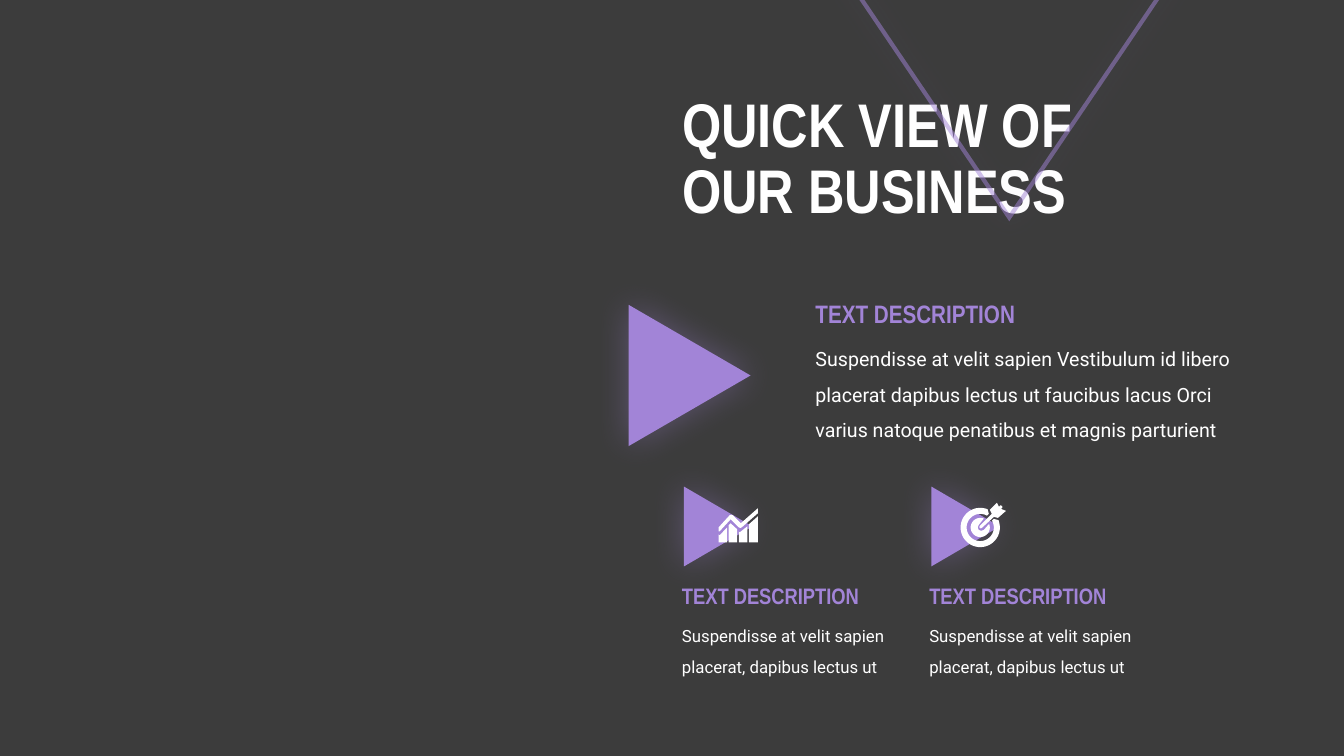
from math import cos, radians, sin

from lxml.etree import SubElement
from pptx import Presentation
from pptx.dml.color import RGBColor
from pptx.enum.shapes import MSO_SHAPE as SHAPE
from pptx.enum.text import MSO_ANCHOR as ANCHOR, MSO_AUTO_SIZE as AUTO, PP_ALIGN as ALIGN
from pptx.oxml.ns import qn
from pptx.util import Inches, Pt

COLORS = {"back": "3C3C3C", "accent": "A284D7", "text": "FFFFFF"}
HEAD_FONT, BODY_FONT = "Arial Narrow", "Roboto"
COLS, ROWS = 32, 18
ICON_UNIT = 0.024  # cells per icon unit

HEADING = "TEXT DESCRIPTION"
LONG_TEXT = ("Suspendisse at velit sapien Vestibulum id libero placerat dapibus "
             "lectus ut faucibus lacus Orci varius natoque penatibus et magnis parturient")
SHORT_TEXT = "Suspendisse at velit sapien placerat, dapibus lectus ut"


def arc(radius, start, end, steps=48):
    """Points on a circle around the icon's origin, angles in degrees."""
    angles = [radians(start + (end - start) * i / steps) for i in range(steps + 1)]
    return [(radius * cos(a), radius * sin(a)) for a in angles]


CHART_ICON = [
    [(0, 34), (0, 26), (1, 27), (8.5, 19), (8.5, 34)],
    [(10, 34), (10, 17), (12, 15), (18.5, 21), (18.5, 34)],
    [(20, 34), (20, 23), (21, 24), (28.5, 18), (28.5, 34)],
    [(30, 34), (30, 16), (39, 8), (39, 34)],
    [(39, 0), (22, 15), (14, 7), (12.5, 6.5), (11, 7), (0, 19), (0, 23), (1, 23),
     (12, 11), (20, 19), (21.5, 19.7), (23, 19), (39, 5)],
]
TARGET_ICON = [
    arc(19.5, -22, 292) + [(8.5, -13.5)] + arc(13.5, 300, -30) + [(13.5, -8.5)],
    [(21.5, -21.5), (20, -22), (18.5, -20.5), (16.5, -24.5), (9.5, -17.5),
     (11.5, -13.5), (-0.5, -1.5), (-0.9, -0.5), (-0.5, 0.5), (0.5, 0.9), (1.5, 0.5),
     (13.5, -10.5), (17.5, -9.5), (25.5, -16.5), (20.5, -18.5), (22, -20)],
    arc(9.5, -22, 292) + [(-1.5, -2.5), (-2.5, 0), (-1.5, 2.5), (1, 3.3), (3.5, 2.5)],
]


class Deck:
    def __init__(self):
        self.prs = Presentation()
        self.prs.slide_width, self.prs.slide_height = Inches(13.333), Inches(7.5)
        self.cell_w = self.prs.slide_width / COLS
        self.cell_h = self.prs.slide_height / ROWS
        self.slide = self.prs.slides.add_slide(self.prs.slide_layouts[0])
        self.paint(self.slide.background.fill, "back")

    def grid(self, x, y, w, h):
        return (round(x * self.cell_w), round(y * self.cell_h),
                round(w * self.cell_w), round(h * self.cell_h))

    def paint(self, fill, color):
        fill.solid()
        fill.fore_color.rgb = RGBColor.from_string(COLORS[color])

    def set_text(self, tf, text, size, font, color, bold=False, spacing=1.0):
        tf.word_wrap = True
        tf.text = text
        for p in tf.paragraphs:
            p.alignment = ALIGN.LEFT
            p.line_spacing = spacing
            for r in p.runs:
                r.font.size, r.font.name, r.font.bold = Pt(size), font, bold
                r.font.color.rgb = RGBColor.from_string(COLORS[color])

    def title(self, cells, text):
        sp = self.slide.shapes.title
        sp.left, sp.top, sp.width, sp.height = self.grid(*cells)
        tf = sp.text_frame
        tf.auto_size, tf.vertical_anchor = AUTO.NONE, ANCHOR.MIDDLE
        self.set_text(tf, text, 44, HEAD_FONT, "text", True, 0.9)
        subtitle = self.slide.placeholders[1].element
        subtitle.getparent().remove(subtitle)

    def text(self, cells, text, *style, **options):
        tf = self.slide.shapes.add_textbox(*self.grid(*cells)).text_frame
        self.set_text(tf, text, *style, **options)
        tf.auto_size = AUTO.SHAPE_TO_FIT_TEXT

    def heading(self, cells, size):
        self.text(cells, HEADING, size, HEAD_FONT, "accent", bold=True)

    def body(self, cells, text, size):
        self.text(cells, text, size, BODY_FONT, "text", spacing=1.5)

    def triangle(self, cells, rotation, outlined=False):
        sp = self.slide.shapes.add_shape(SHAPE.ISOSCELES_TRIANGLE, *self.grid(*cells))
        sp.rotation = rotation
        if outlined:
            sp.fill.background()
            self.paint(sp.line.fill, "accent")
            sp.line.width = Pt(3)
            ln = sp.element.spPr.find(qn("a:ln"))
            SubElement(ln.find(".//" + qn("a:srgbClr")), qn("a:alpha"), val="50000")
            SubElement(ln, qn("a:miter"), lim="800000")
        else:
            self.paint(sp.fill, "accent")
            sp.line.fill.background()
        self.glow(sp)

    def glow(self, sp):
        """Surround a shape with a soft, centred shadow."""
        sp.shadow.inherit = False
        effects = sp.element.spPr.find(qn("a:effectLst"))
        shadow = SubElement(effects, qn("a:outerShdw"), blurRad=str(Pt(25)), dist="0",
                            dir="0", algn="ctr", rotWithShape="0")
        clr = SubElement(shadow, qn("a:srgbClr"), val=COLORS["accent"])
        SubElement(clr, qn("a:alpha"), val="35000")

    def icon(self, x, y, outlines):
        group = self.slide.shapes.add_group_shape()
        unit_w, unit_h = ICON_UNIT * self.cell_w, ICON_UNIT * self.cell_h
        left, top = round(x * self.cell_w), round(y * self.cell_h)
        for outline in outlines:
            points = [(px * unit_w, py * unit_h) for px, py in outline]
            builder = group.shapes.build_freeform(*points[0])
            builder.add_line_segments(points[1:], close=True)
            sp = builder.convert_to_shape(left, top)
            self.paint(sp.fill, "text")
            sp.line.fill.background()
            sp.shadow.inherit = False


def main():
    deck = Deck()
    deck.title((16, 1.92, 13.5, 3.8), "QUICK VIEW OF\vOUR BUSINESS")
    deck.triangle((19.4, -1.66, 9.26, 6.84), 180, outlined=True)

    deck.triangle((14.74, 7.49, 3.36, 2.9), 90)
    deck.body((19.18, 7.87, 10.92, 2.69), LONG_TEXT, 14)
    deck.heading((19.18, 6.98, 5.88, 0.96), 18)

    for column in range(2):
        x = 16 + column * 5.89
        deck.triangle((x + 0.15, 11.72, 1.9, 1.63), 90)
        deck.body((x, 14.55, 5.57, 1.61), SHORT_TEXT, 12)
        deck.heading((x, 13.74, 5.3, 0.89), 16)

    deck.icon(17.11, 12.1, CHART_ICON)
    deck.icon(23.34, 12.56, TARGET_ICON)
    deck.prs.save("out.pptx")


if __name__ == "__main__":
    main()
